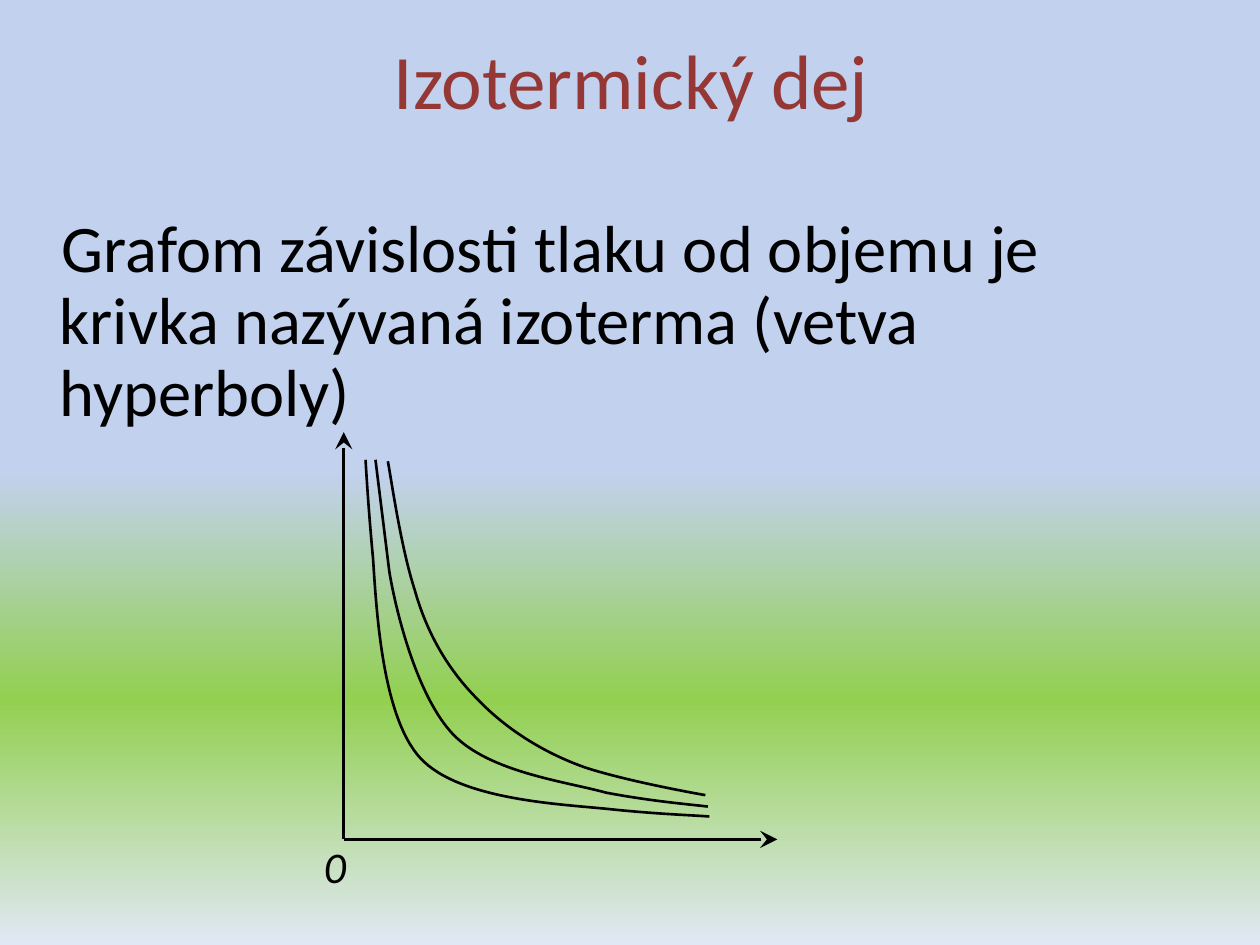
from copy import deepcopy
from dataclasses import dataclass

from lxml.etree import SubElement
from pptx import Presentation
from pptx.dml.color import RGBColor
from pptx.enum.shapes import MSO_CONNECTOR
from pptx.enum.text import MSO_ANCHOR, MSO_AUTO_SIZE, PP_ALIGN
from pptx.oxml.ns import qn
from pptx.util import Cm, Pt

Point = tuple[float, float]

FONT = "Calibri"
BLACK = RGBColor(0x00, 0x00, 0x00)
TITLE_RED = RGBColor(0x95, 0x37, 0x35)
BACKGROUND_STOPS = [
    (0.50, RGBColor(0xC2, 0xD1, 0xED)),
    (0.74, RGBColor(0x92, 0xD0, 0x50)),
    (1.00, RGBColor(0xE1, 0xE8, 0xF5)),
]
LINE_WIDTH = Pt(1.5)


@dataclass
class Isotherm:
    """Segments in cm: an end point alone is straight, three points are a cubic."""
    start: Point
    segments: list[tuple[Point, ...]]


@dataclass
class Axis:
    end: Point


ORIGIN = (6.93, 16.92)
AXES = [Axis((15.67, 16.92)), Axis((6.93, 8.71))]
ISOTHERMS = [
    Isotherm((7.37, 9.27), [
        ((7.37, 9.27), (7.42, 10.19), (7.52, 11.25)),
        ((7.59, 12.29), (7.70, 14.45), (8.48, 15.29)),
        ((9.27, 16.13), (11.30, 16.21), (12.27, 16.31)),
        ((13.23, 16.41), (13.87, 16.43), (14.30, 16.46)),
    ]),
    Isotherm((7.57, 9.27), [
        ((7.85, 11.53),),
        ((8.00, 12.42), (8.43, 14.07), (9.14, 14.81)),
        ((9.88, 15.57), (11.38, 15.75), (12.22, 15.98)),
        ((13.11, 16.15), (13.84, 16.21), (14.27, 16.26)),
    ]),
    Isotherm((7.82, 9.30), [
        ((7.90, 9.73), (8.08, 11.02), (8.36, 11.89)),
        ((8.61, 12.78), (9.04, 13.51), (9.65, 14.12)),
        ((10.24, 14.73), (11.00, 15.19), (11.79, 15.47)),
        ((12.55, 15.72), (13.77, 15.95), (14.22, 16.03)),
    ]),
]


def place(shape, left: float, top: float, width: float, height: float) -> None:
    shape.left, shape.top = Cm(left), Cm(top)
    shape.width, shape.height = Cm(width), Cm(height)


def write_text(shape, text: str, *, size: float, color: RGBColor = BLACK,
               italic: bool = False, align=PP_ALIGN.LEFT,
               anchor=MSO_ANCHOR.MIDDLE, wrap: bool = True,
               auto_size=MSO_AUTO_SIZE.NONE):
    frame = shape.text_frame
    frame.word_wrap = wrap
    frame.auto_size = auto_size
    frame.vertical_anchor = anchor
    paragraph = frame.paragraphs[0]
    paragraph.alignment = align
    run = paragraph.add_run()
    run.text = text
    run.font.name = FONT
    run.font.size = Pt(size)
    run.font.italic = italic
    run.font.color.rgb = color
    return paragraph


def paint_background(slide) -> None:
    fill = slide.background.fill
    fill.gradient()
    fill.gradient_angle = 270
    last_stop = list(slide.element.iter(qn("a:gs")))[-1]
    last_stop.addnext(deepcopy(last_stop))
    for stop, (position, color) in zip(fill.gradient_stops, BACKGROUND_STOPS):
        stop.position = position
        stop.color.rgb = color


def draw_isotherm(shapes, isotherm: Isotherm) -> None:
    """Build the outline through the end points, then bend its cubic segments."""
    builder = shapes.build_freeform(*map(Cm, isotherm.start))
    builder.add_line_segments(
        [tuple(map(Cm, segment[-1])) for segment in isotherm.segments],
        close=False)
    curve = builder.convert_to_shape()
    straight_lines = list(curve.element.iter(qn("a:lnTo")))
    for line, segment in zip(straight_lines, isotherm.segments):
        if len(segment) == 1:
            continue
        bend = line.makeelement(qn("a:cubicBezTo"), {})
        for x, y in segment:
            SubElement(bend, qn("a:pt"), {"x": str(Cm(x) - curve.left),
                                          "y": str(Cm(y) - curve.top)})
        line.getparent().replace(line, bend)
    curve.shadow.inherit = False
    curve.fill.background()
    curve.line.color.rgb = BLACK
    curve.line.width = LINE_WIDTH


def draw_axis(shapes, axis: Axis) -> None:
    connector = shapes.add_connector(
        MSO_CONNECTOR.STRAIGHT, *map(Cm, ORIGIN), *map(Cm, axis.end))
    connector.line.color.rgb = BLACK
    connector.line.width = LINE_WIDTH
    properties = connector.element.spPr
    SubElement(properties.find(qn("a:ln")), qn("a:tailEnd"),
               {"type": "stealth", "w": "lg", "len": "lg"})
    SubElement(properties, qn("a:effectLst"))


def main() -> None:
    presentation = Presentation()
    presentation.slide_width, presentation.slide_height = Cm(25.4), Cm(19.05)
    slide = presentation.slides.add_slide(presentation.slide_layouts[5])
    paint_background(slide)

    title = slide.shapes.title
    place(title, 1.3, 0, 22.86, 3.18)
    write_text(title, "Izotermický dej", size=44, color=TITLE_RED,
               align=PP_ALIGN.CENTER)

    statement = slide.shapes.add_textbox(Cm(0), Cm(2.51), Cm(22.81), Cm(8))
    paragraph = write_text(
        statement, "Grafom závislosti tlaku od objemu je krivka nazývaná "
        "izoterma (vetva hyperboly)", size=38)
    paragraph.line_spacing = 0.9
    indents = paragraph._p.get_or_add_pPr()
    indents.set("marL", str(Cm(0.95)))
    indents.set("indent", str(Cm(0.05)))

    for isotherm in ISOTHERMS:
        draw_isotherm(slide.shapes, isotherm)

    axes_group = slide.shapes.add_group_shape()
    for axis in AXES:
        draw_axis(axes_group.shapes, axis)
    origin_label = axes_group.shapes.add_textbox(
        Cm(6.53), Cm(16.81), Cm(0.69), Cm(1.32))
    origin_label.text_frame.margin_left = 0
    write_text(origin_label, "0", size=25, italic=True, anchor=MSO_ANCHOR.TOP,
               wrap=False, auto_size=MSO_AUTO_SIZE.SHAPE_TO_FIT_TEXT)

    presentation.save("out.pptx")


if __name__ == "__main__":
    main()
